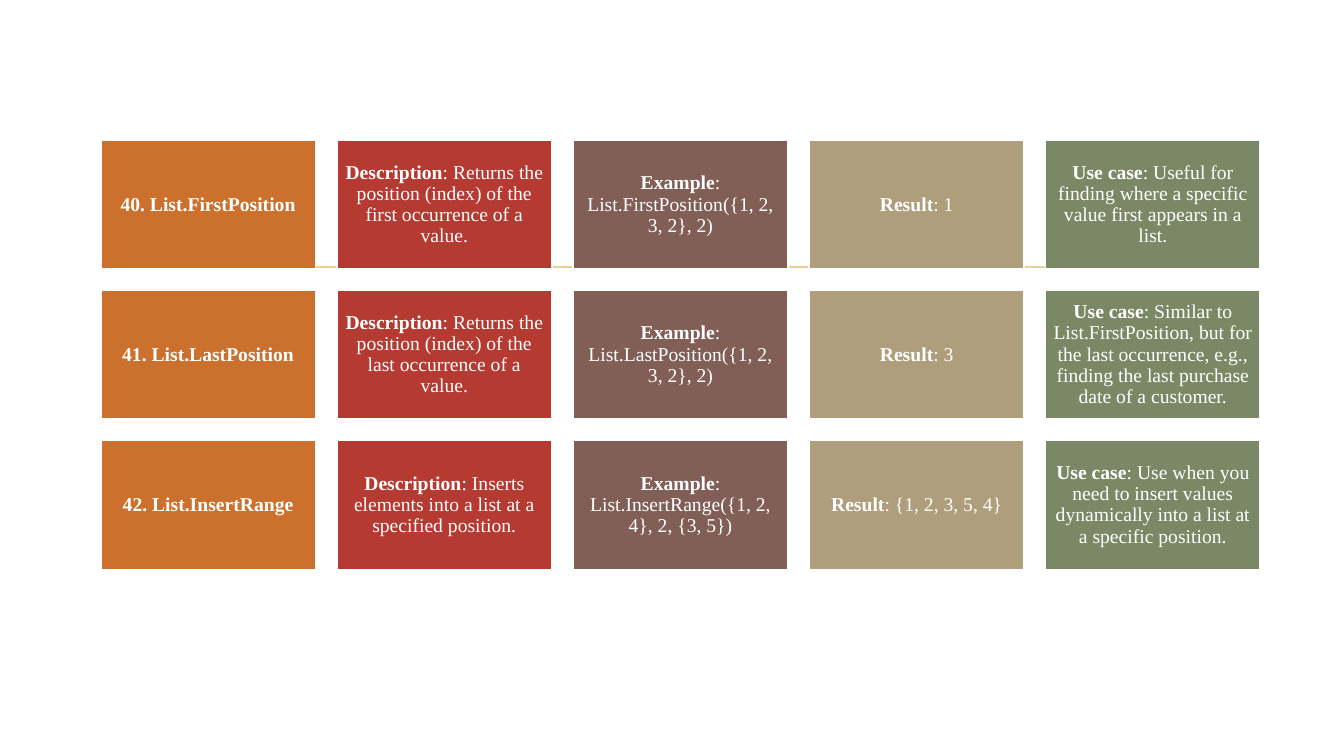
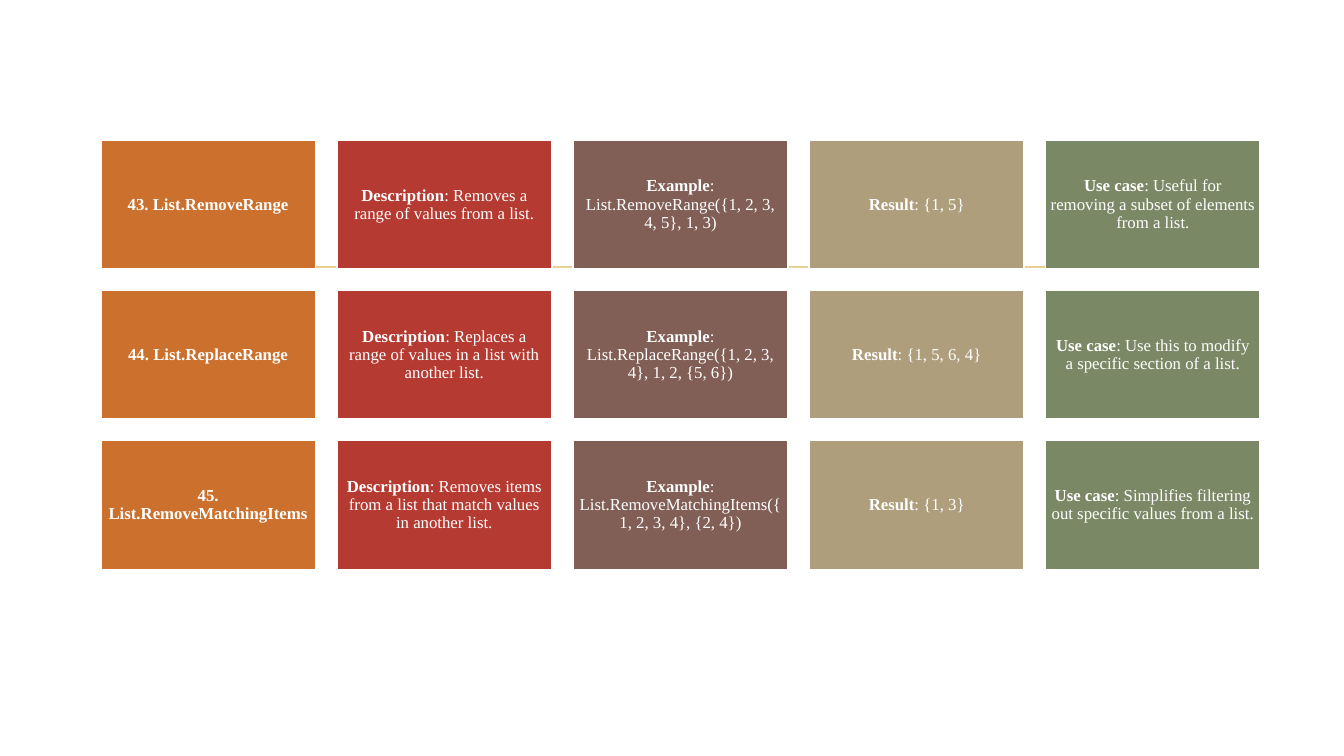
from lxml import etree
from pptx import Presentation
from pptx.dml.color import RGBColor
from pptx.enum.shapes import MSO_CONNECTOR, MSO_SHAPE
from pptx.enum.text import MSO_ANCHOR, PP_ALIGN
from pptx.oxml.ns import qn
from pptx.util import Inches, Pt

STRAIGHT = MSO_CONNECTOR.STRAIGHT
RECTANGLE = MSO_SHAPE.RECTANGLE
MIDDLE = MSO_ANCHOR.MIDDLE
CENTER = PP_ALIGN.CENTER

COLORS = {
    "white": "FFFFFF",
    "rule": "E8D191",
    "name": "CC702D",
    "description": "B53A31",
    "example": "815F56",
    "result": "AE9E7C",
    "use": "7B8865",
}
FONT = "Times New Roman"
COLUMNS = [
    ("name", ""),
    ("description", "Description"),
    ("example", "Example"),
    ("result", "Result"),
    ("use", "Use case"),
]
LEFT, LAST_LEFT, TOP = 1, 10.37, 1.39
CARD_W, CARD_H = 2.13, 1.28
COL_STEP = (LAST_LEFT - LEFT) / (len(COLUMNS) - 1)
ROW_STEP = 1.49

SLIDES = [
    (14, 0.06, [
        ("40. List.FirstPosition",
         "Returns the position (index) of the first occurrence of a value.",
         "List.FirstPosition({1, 2, 3, 2}, 2)",
         "1",
         "Useful for finding where a specific value first appears in a list."),
        ("41. List.LastPosition",
         "Returns the position (index) of the last occurrence of a value.",
         "List.LastPosition({1, 2, 3, 2}, 2)",
         "3",
         "Similar to List.FirstPosition, but for the last occurrence, e.g., "
         "finding the last purchase date of a customer."),
        ("42. List.InsertRange",
         "Inserts elements into a list at a specified position.",
         "List.InsertRange({1, 2, 4}, 2, {3, 5})",
         "{1, 2, 3, 5, 4}",
         "Use when you need to insert values dynamically into a list at a specific position."),
    ]),
    (12, 0.05, [
        ("43. List.RemoveRange",
         "Removes a range of values from a list.",
         "List.RemoveRange({1, 2, 3, 4, 5}, 1, 3)",
         "{1, 5}",
         "Useful for removing a subset of elements from a list."),
        ("44. List.ReplaceRange",
         "Replaces a range of values in a list with another list.",
         "List.ReplaceRange({1, 2, 3, 4}, 1, 2, {5, 6})",
         "{1, 5, 6, 4}",
         "Use this to modify a specific section of a list."),
        ("45. List.RemoveMatchingItems",
         "Removes items from a list that match values in another list.",
         "List.RemoveMatchingItems({1, 2, 3, 4}, {2, 4})",
         "{1, 3}",
         "Simplifies filtering out specific values from a list."),
    ]),
]


def rgb(name):
    return RGBColor.from_string(COLORS[name])


def add_run(p, text, size, bold):
    r = p.add_run()
    r.text = text
    r.font.name = FONT
    r.font.size = Pt(size)
    r.font.bold = bold
    r.font.color.rgb = rgb("white")


prs = Presentation()
prs.slide_width = Inches(13.33)
prs.slide_height = Inches(7.5)
layout = prs.slide_layouts[6]
layout.background.fill.solid()
layout.background.fill.fore_color.rgb = rgb("white")
slides = [prs.slides.add_slide(layout) for _ in SLIDES]

rule = slides[0].shapes.add_connector(
    STRAIGHT, Inches(1.53), Inches(2.65), Inches(11.81), Inches(2.65))
rule.line.color.rgb = rgb("rule")
rule.line.width = Pt(1.25)
etree.SubElement(rule.element.spPr, qn("a:effectLst"))
layout.shapes.element.append(rule.element)

for s, (size, inset, rows) in zip(slides, SLIDES):
    for row, texts in enumerate(rows):
        for col, ((color, label), text) in enumerate(zip(COLUMNS, texts)):
            sp = s.shapes.add_shape(
                RECTANGLE, Inches(LEFT + col * COL_STEP), Inches(TOP + row * ROW_STEP),
                Inches(CARD_W), Inches(CARD_H))
            sp.shadow.inherit = False
            sp.fill.solid()
            sp.fill.fore_color.rgb = rgb(color)
            sp.line.color.rgb = rgb("white")
            sp.line.width = Pt(1.25)
            tf = sp.text_frame
            tf.word_wrap = True
            tf.vertical_anchor = MIDDLE
            tf.margin_left = tf.margin_right = Inches(inset)
            tf.margin_top = tf.margin_bottom = Inches(inset)
            p = tf.paragraphs[0]
            p.alignment = CENTER
            p.line_spacing = 0.9
            if label:
                add_run(p, label, size, True)
                add_run(p, f": {text}", size, False)
            else:
                add_run(p, text, size, True)

prs.save("out.pptx")
